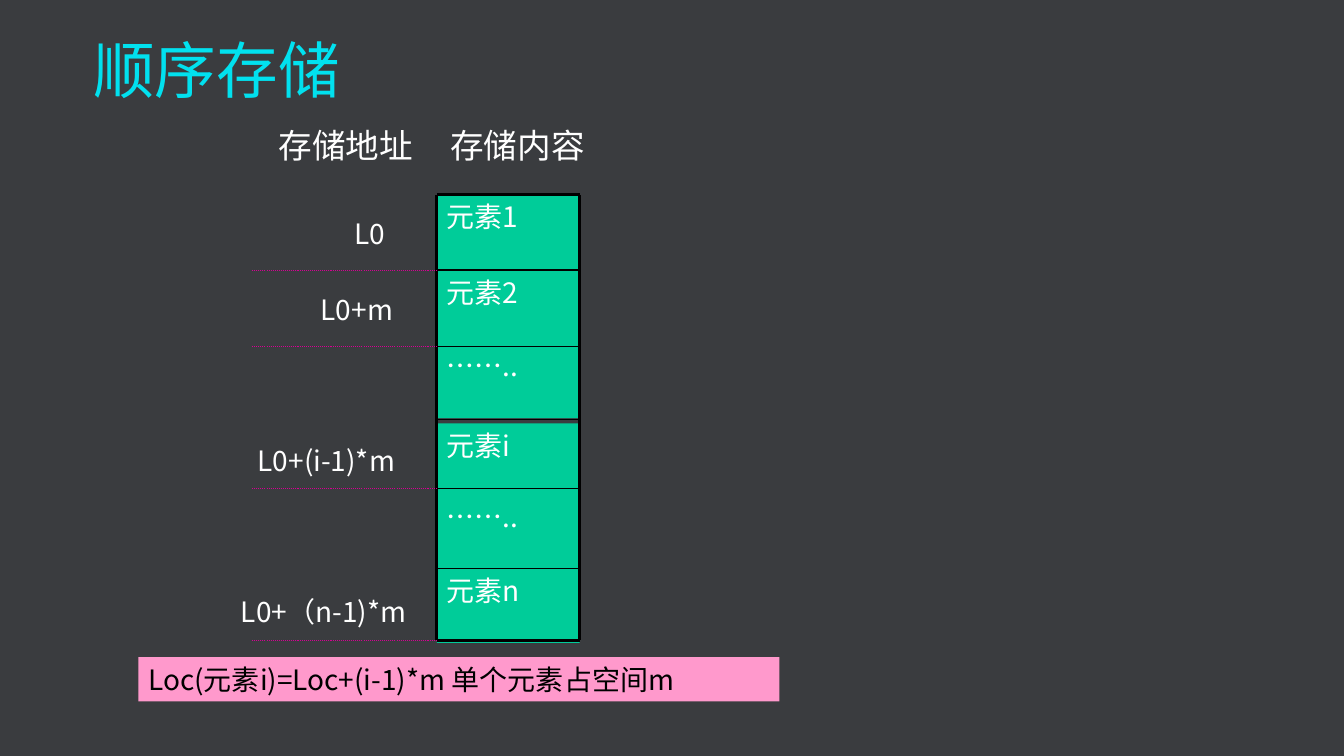
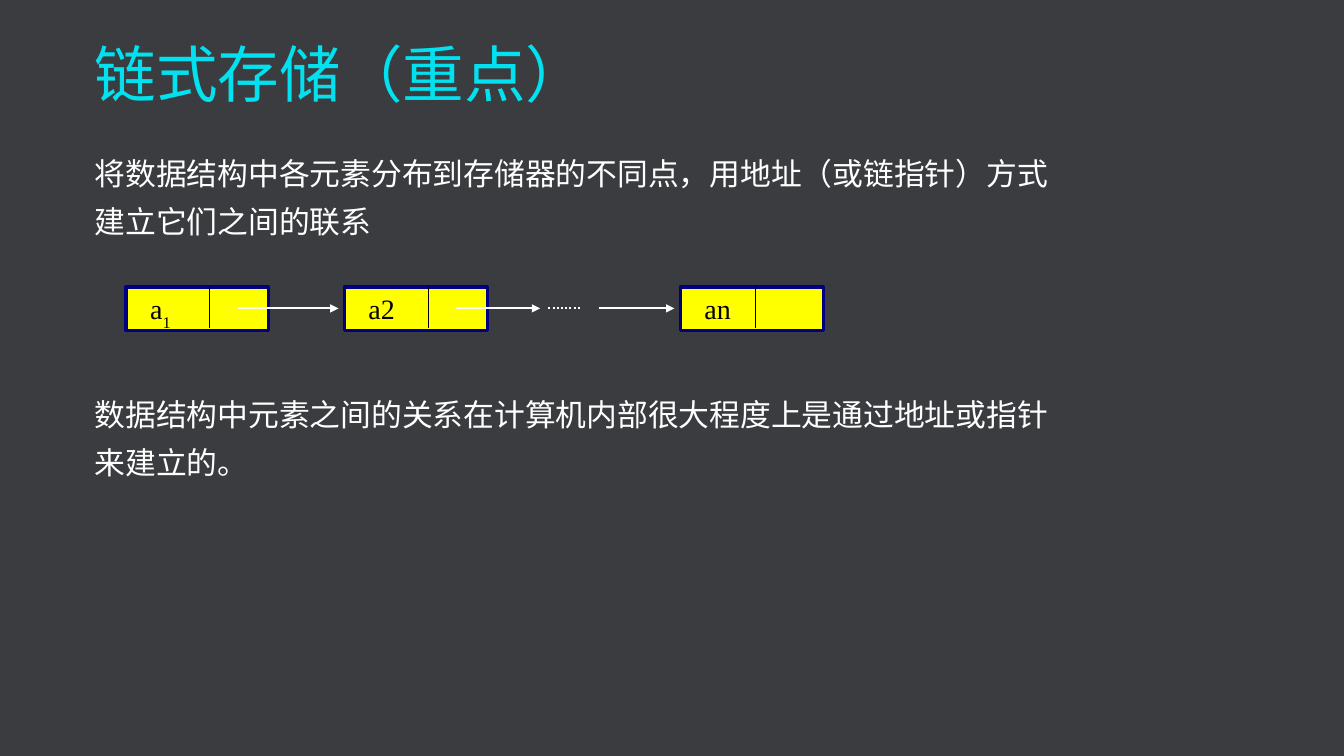
"""Build two slides on sequential and linked storage."""
from dataclasses import dataclass

from lxml import etree
from pptx import Presentation
from pptx.dml.color import RGBColor
from pptx.enum.dml import MSO_LINE
from pptx.enum.shapes import MSO_CONNECTOR, MSO_SHAPE
from pptx.enum.text import MSO_ANCHOR, MSO_AUTO_SIZE, PP_ALIGN
from pptx.oxml.ns import qn
from pptx.util import Pt

DOTTED = MSO_LINE.ROUND_DOT
STRAIGHT = MSO_CONNECTOR.STRAIGHT
RECT = MSO_SHAPE.RECTANGLE
TOP = MSO_ANCHOR.TOP
NO_FIT = MSO_AUTO_SIZE.NONE
LEFT = PP_ALIGN.LEFT
TITLE_ONLY, TITLE_AND_BODY = 5, 1


@dataclass(frozen=True)
class Theme:
    """Colours, fonts and type sizes shared by the slides."""
    back: str = "3A3C3F"
    title: str = "01E1EF"
    light: str = "FFFFFF"
    dark: str = "000000"
    cell: str = "00CC99"
    guide: str = "D60093"
    formula: str = "FF99CC"
    node: str = "FFFF00"
    node_edge: str = "000080"
    sans: str = "Noto Sans CJK SC"
    serif: str = "Times New Roman"
    title_size: int = 44
    head_size: int = 24
    body_size: int = 22
    label_size: int = 20


T = Theme()


def rgb(value):
    """Turn a hex string into a colour."""
    return RGBColor.from_string(value)


def add_run(p, text, size=T.label_size, color=T.light, font=T.sans, base=0):
    """Append a formatted run to a paragraph."""
    r = p.add_run()
    r.text = text
    r.font.size = Pt(size)
    r.font.color.rgb = rgb(color)
    r.font.name = font
    rPr = r._r.get_or_add_rPr()
    etree.SubElement(rPr, qn("a:ea")).set("typeface", font)
    if base:
        rPr.set("baseline", str(base * 1000))


def frame(sp, left=7.2):
    """Prepare a text frame and return it."""
    tf = sp.text_frame
    tf.word_wrap = True
    tf.auto_size = NO_FIT
    tf.vertical_anchor = TOP
    tf.margin_left, tf.margin_right = Pt(left), Pt(7.2)
    tf.margin_top = tf.margin_bottom = Pt(3.6)
    return tf


def place(sp, x, y, w, h):
    """Move and size a shape."""
    sp.left, sp.top, sp.width, sp.height = Pt(x), Pt(y), Pt(w), Pt(h)


def label(s, text, x, y, w, h=31.7, **fmt):
    """Add a one-line text box."""
    sp = s.shapes.add_textbox(Pt(x), Pt(y), Pt(w), Pt(h))
    add_run(frame(sp).paragraphs[0], text, **fmt)


def box(s, x, y, w, h, fill, edge=None):
    """Add a plain rectangle."""
    sp = s.shapes.add_shape(RECT, Pt(x), Pt(y), Pt(w), Pt(h))
    sp.shadow.inherit = False
    sp.fill.solid()
    sp.fill.fore_color.rgb = rgb(fill)
    if edge:
        sp.line.color.rgb = rgb(edge)
        sp.line.width = Pt(2.25)
    else:
        sp.line.fill.background()
    return sp


def text_box(s, text, x, y, w, h, fill, color):
    """Add a filled rectangle with left-aligned text."""
    p = frame(box(s, x, y, w, h, fill)).paragraphs[0]
    p.alignment = LEFT
    add_run(p, text, color=color)


def line(s, x1, y1, x2, y2, color, width, dash=None, arrow=False):
    """Add a straight line, dashed or with an arrowhead on request."""
    c = s.shapes.add_connector(STRAIGHT, Pt(x1), Pt(y1), Pt(x2), Pt(y2))
    c.line.color.rgb = rgb(color)
    c.line.width = Pt(width)
    if dash:
        c.line.dash_style = dash
    spPr = c._element.spPr
    if arrow:
        tail = etree.SubElement(spPr.find(qn("a:ln")), qn("a:tailEnd"))
        tail.set("type", "triangle")
    etree.SubElement(spPr, qn("a:effectLst"))


def new_slide(prs, layout, title, x, y):
    """Add a slide and fill its title."""
    s = prs.slides.add_slide(prs.slide_layouts[layout])
    sp = s.shapes.title
    place(sp, x, y, 841, 33)
    p = frame(sp).paragraphs[0]
    p.alignment = LEFT
    p.line_spacing = 0.9
    add_run(p, title, size=T.title_size, color=T.title)
    return s


def body(s, paragraphs, x, y, w, h, gap):
    """Fill the body placeholder with unbulleted paragraphs."""
    sp = s.placeholders[1]
    place(sp, x, y, w, h)
    tf = frame(sp)
    for i, text in enumerate(paragraphs):
        p = tf.add_paragraph() if i else tf.paragraphs[0]
        pPr = p._p.get_or_add_pPr()
        pPr.set("marL", "0")
        pPr.set("indent", "0")
        etree.SubElement(pPr, qn("a:buNone"))
        p.alignment = LEFT
        p.line_spacing = 1.3
        p.space_before = Pt(gap if i else 0)
        add_run(p, text, size=T.body_size)


def memory_column(s):
    """Draw the memory cells with their rules and addresses."""
    left, right, top, bottom = 312, 414, 139.2, 457.3
    cells = [("元素1", top), ("元素2", 193), ("……..", 245.5),
             ("元素i", 302.4), ("……..", 353), ("元素n", 406)]
    for text, y in reversed(cells):
        text_box(s, text, left, y, right - left, 53.3, T.cell, T.light)
    for y in (193, 247.3, 299.5, 349, 406):
        line(s, left, y, right, y, T.dark, 1)
    for y in (top, bottom):
        line(s, left, y, right, y, T.dark, 2.25)
    for x in (left, right):
        line(s, x, top, x, bottom, T.dark, 2.25)
    addresses = [("L0", 246, 60, 193, 42), ("L0+m", 222, 84, 247.3, 42),
                 ("L0+(i-1)*m", 177, 153, 349, 36),
                 ("L0+（n-1)*m", 165, 150, bottom, 36)]
    for text, x, w, y, rise in addresses:
        label(s, text, x, y - rise, w)
        line(s, left, y, 180, y, T.guide, 0.75, dash=DOTTED)


def node(s, x, divider, name, sub=""):
    """Draw a list node with a data field and a pointer field."""
    y, w, h = 205, 102, 31.4
    sp = box(s, x, y, w, h, T.node, T.node_edge)
    p = frame(sp, left=17.2).paragraphs[0]
    p.alignment = LEFT
    add_run(p, name, color=T.dark, font=T.serif)
    if sub:
        add_run(p, sub, color=T.dark, font=T.serif, base=-30)
    line(s, divider, y, divider, y + 29.5, T.dark, 0.75)


def linked_list(s):
    """Draw the chain of nodes and its pointers."""
    node(s, 90, 150, "a", sub="1")
    node(s, 246, 306, "a2")
    node(s, 486, 539.7, "an")
    y = 220.3
    line(s, 391.7, y, 415.4, y, T.light, 1.5, dash=DOTTED)
    for x1, x2 in ((169.9, 241.8), (325.4, 385.8), (427.8, 481.7)):
        line(s, x1, y, x2, y, T.light, 1.5, arrow=True)


def sequential_slide(prs):
    """Build the slide on sequential storage."""
    s = new_slide(prs, TITLE_ONLY, "顺序存储", 59.5, 25.2)
    memory_column(s)
    text_box(s, "Loc(元素i)=Loc+(i-1)*m 单个元素占空间m",
             98.8, 469.4, 458, 31.7, T.formula, T.dark)
    for text, x, w in (("存储地址", 192, 123), ("存储内容", 314.6, 114)):
        label(s, text, x, 85.7, w, h=36, size=T.head_size)


def linked_slide(prs):
    """Build the slide on linked storage."""
    s = new_slide(prs, TITLE_AND_BODY, "链式存储（重点）", 60.4, 28.2)
    body(s, ["将数据结构中各元素分布到存储器的不同点，用地址（或链指针）方式建立它们之间的联系",
             "数据结构中元素之间的关系在计算机内部很大程度上是通过地址或指针来建立的。"],
         60.4, 99.2, 705, 250, gap=103)
    linked_list(s)


def main():
    """Build and save the presentation."""
    prs = Presentation()
    prs.slide_width, prs.slide_height = Pt(960), Pt(540)
    fill = prs.slide_master.background.fill
    fill.solid()
    fill.fore_color.rgb = rgb(T.back)
    sequential_slide(prs)
    linked_slide(prs)
    prs.save("out.pptx")


if __name__ == "__main__":
    main()
